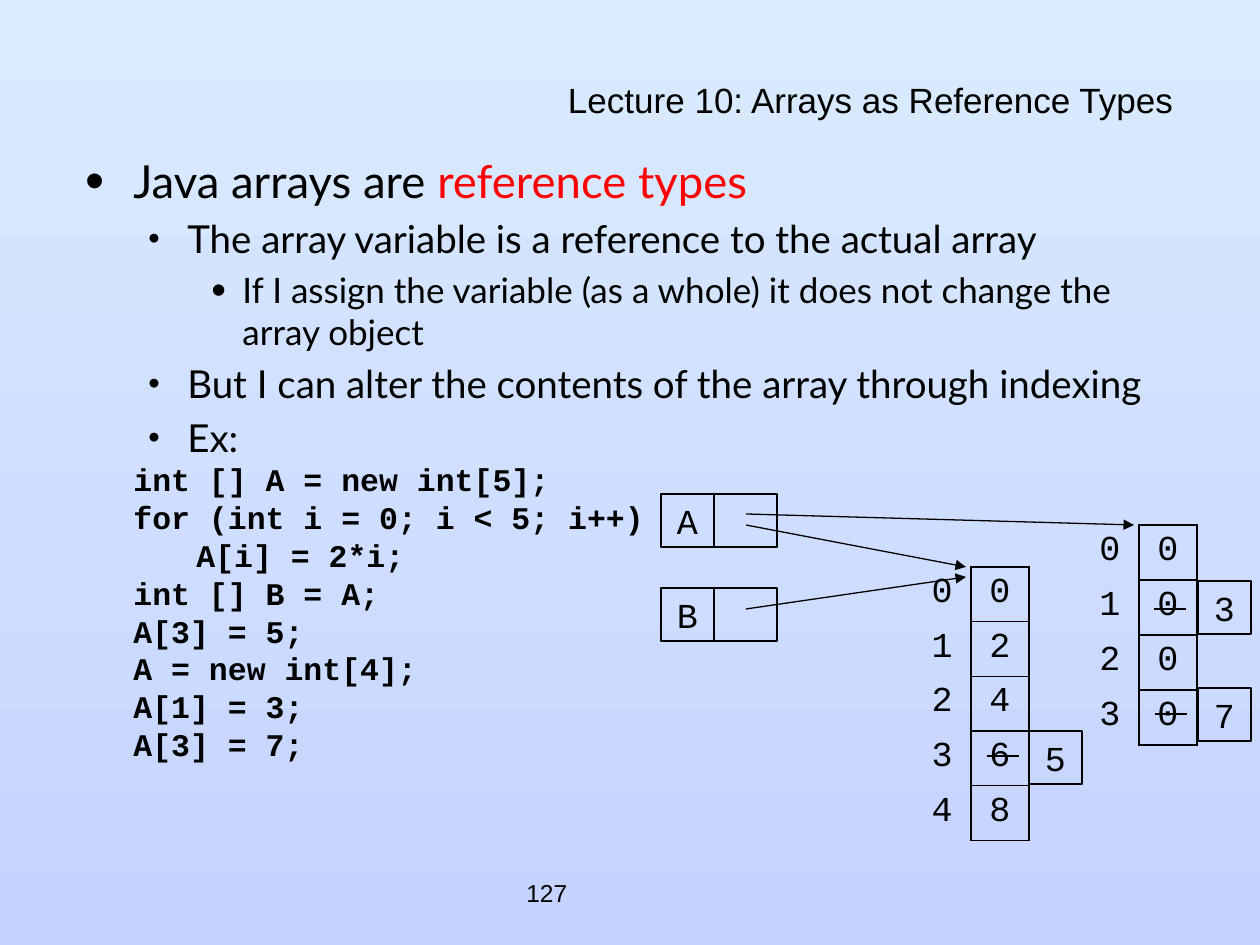
from lxml.etree import SubElement
from pptx import Presentation
from pptx.dml.color import RGBColor
from pptx.enum.shapes import MSO_CONNECTOR as CONNECTOR, MSO_SHAPE as SHAPE
from pptx.enum.text import MSO_ANCHOR as ANCHOR, PP_ALIGN as ALIGN
from pptx.oxml.ns import qn
from pptx.util import Pt

SCALE = 7257  # EMU per px, 126 px to the inch
BLACK = RGBColor(0x00, 0x00, 0x00)
RED = RGBColor(0xFF, 0x00, 0x00)
SKY = RGBColor(0xDA, 0xEB, 0xFE)
PERIWINKLE = RGBColor(0xC5, 0xD3, 0xFF)
CELL = 53

# level: (left margin px, hanging px, bullet size %, font size, space before)
LEVELS = [(48, 48, 120, 26, 5), (102, 39, 85, 22, 4.4), (157, 31, 120, 20, 4)]
BULLETS = [
    (0, [("Java arrays are ", BLACK), ("reference types", RED)]),
    (1, [("The array variable is a reference to the actual array", BLACK)]),
    (2, [("If I assign the variable (as a whole) it does not change the array object", BLACK)]),
    (1, [("But I can alter the contents of the array through indexing", BLACK)]),
    (1, [("Ex:", BLACK)]),
]
CODE = [
    "\tint [] A = new int[5];",
    "\tfor (int i = 0; i < 5; i++)",
    "\t\tA[i] = 2*i;",
    "\tint [] B = A;",
    "\tA[3] = 5;",
    "\tA = new int[4];",
    "\tA[1] = 3;",
    "\tA[3] = 7;",
]
MONO = {"name": "Courier New", "size": Pt(20), "bold": False}


def px(*lengths):
    return [length * SCALE for length in lengths]


def add_run(paragraph, text, color=BLACK, **font_values):
    run = paragraph.add_run()
    run.text = text
    run.font.color.rgb = color
    for name, value in font_values.items():
        setattr(run.font, name, value)


def set_indent(paragraph, left, hanging):
    properties = paragraph._p.get_or_add_pPr()
    properties.set("marL", str(left * SCALE))
    properties.set("indent", str(-hanging * SCALE))
    return properties


def add_text_frame(slide, box, anchor):
    frame = slide.shapes.add_textbox(*px(*box)).text_frame
    frame.word_wrap = True
    frame.vertical_anchor = anchor
    return frame


def add_label(slide, box, text, size, align, line_spacing=1.0):
    paragraph = add_text_frame(slide, box, ANCHOR.MIDDLE).paragraphs[0]
    paragraph.alignment = align
    paragraph.line_spacing = line_spacing
    add_run(paragraph, text, name="Arial", size=Pt(size))


def format_bullet(paragraph, level):
    left, hanging, percent, _, _ = LEVELS[level]
    properties = set_indent(paragraph, left, hanging)
    color = SubElement(properties, qn("a:buClr"))
    SubElement(color, qn("a:srgbClr"), val=str(BLACK))
    SubElement(properties, qn("a:buSzPct"), val=str(percent * 1000))
    SubElement(properties, qn("a:buFont"), typeface="Arial")
    SubElement(properties, qn("a:buChar"), char="•")
    paragraph.level = level


def add_body(slide):
    frame = add_text_frame(slide, (73, 147, 1124, 714), ANCHOR.TOP)
    for index, (level, runs) in enumerate(BULLETS):
        paragraph = frame.add_paragraph() if index else frame.paragraphs[0]
        format_bullet(paragraph, level)
        _, _, _, size, space = LEVELS[level]
        paragraph.space_before = Pt(space if index else 0)
        for text, color in runs:
            add_run(paragraph, text, color, name="Lato", size=Pt(size))
    for line in CODE:
        paragraph = frame.add_paragraph()
        set_indent(paragraph, 48, 48)
        paragraph.line_spacing = Pt(21.6)
        add_run(paragraph, line, name="Courier New", size=Pt(18), bold=True)


def add_box(slide, left, top, width=CELL, text=None):
    shape = slide.shapes.add_shape(SHAPE.RECTANGLE, *px(left, top, width, CELL))
    shape.shadow.inherit = False
    shape.fill.background()
    shape.line.color.rgb = BLACK
    shape.line.width = Pt(0.75)
    if text:
        frame = shape.text_frame
        frame.word_wrap = False
        frame.vertical_anchor = ANCHOR.MIDDLE
        frame.paragraphs[0].alignment = ALIGN.CENTER
        add_run(frame.paragraphs[0], text, **MONO)


def add_variable(slide, name, top):
    """A named box beside the empty box that holds its reference."""
    add_box(slide, 714, top, 63)
    add_box(slide, 661, top, text=name)


def add_line(slide, start, end, width, arrow=False):
    line = slide.shapes.add_connector(CONNECTOR.STRAIGHT, *px(*start, *end))
    line.line.color.rgb = BLACK
    line.line.width = Pt(width)
    if arrow:
        SubElement(line.line._get_or_add_ln(), qn("a:tailEnd"), type="triangle")
    SubElement(line._element.spPr, qn("a:effectLst"))


def set_borders(cell, drawn_sides):
    properties = cell._tc.get_or_add_tcPr()
    for index, side in enumerate("LRTB"):
        border = SubElement(properties, qn(f"a:ln{side}"), w=str(Pt(1)))
        if side in drawn_sides:
            fill = SubElement(border, qn("a:solidFill"))
            SubElement(fill, qn("a:srgbClr"), val=str(BLACK))
        else:
            SubElement(border, qn("a:noFill"))
        properties.insert(index, border)


def add_array(slide, left, top, row_height, values):
    """A column of values with their indexes to the left."""
    count, column_width = len(values), 58
    frame = slide.shapes.add_table(
        count, 2, *px(left, top, 2 * column_width, count * row_height))
    table = frame.table
    table.first_row = table.horz_banding = False
    for row, pair in enumerate(enumerate(values)):
        for column, number in enumerate(pair):
            cell = table.cell(row, column)
            cell.fill.background()
            set_borders(cell, "LRTB" if column else "R")
            paragraph = cell.text_frame.paragraphs[0]
            paragraph.alignment = ALIGN.CENTER
            add_run(paragraph, str(number), **MONO)


def set_background(slide):
    fill = slide.background.fill
    fill.gradient()
    fill.gradient_angle = 270
    for stop, color, position in zip(fill.gradient_stops, (SKY, PERIWINKLE), (0, 1)):
        stop.color.rgb = color
        stop.position = position


def main():
    presentation = Presentation()
    presentation.slide_width, presentation.slide_height = px(1260, 945)
    slide = presentation.slides.add_slide(presentation.slide_layouts[6])
    set_background(slide)
    add_label(slide, (514, 861, 262, 63), "127", 14, ALIGN.LEFT)
    add_label(slide, (73, 84, 1113, 42), "Lecture 10: Arrays as Reference Types",
              20, ALIGN.RIGHT, 0.7)
    add_body(slide)

    add_variable(slide, "A", 494)
    add_variable(slide, "B", 588)
    add_array(slide, 913, 567, 52, [0, 2, 4, 6, 8])
    add_array(slide, 1081, 525, 55, [0, 0, 0, 0])
    for start, end in [((746, 525), (966, 567)), ((746, 609), (966, 577)),
                       ((746, 514), (1134, 525))]:
        add_line(slide, start, end, 0.75, arrow=True)

    for left, top, text in [(1029, 731, "5"), (1198, 581, "3"), (1198, 688, "7")]:
        add_box(slide, left, top, text=text)
    for left, top in [(987, 756), (1154, 609), (1155, 714)]:
        add_line(slide, (left, top), (left + 32, top), 1.25)
    presentation.save("out.pptx")


if __name__ == "__main__":
    main()
